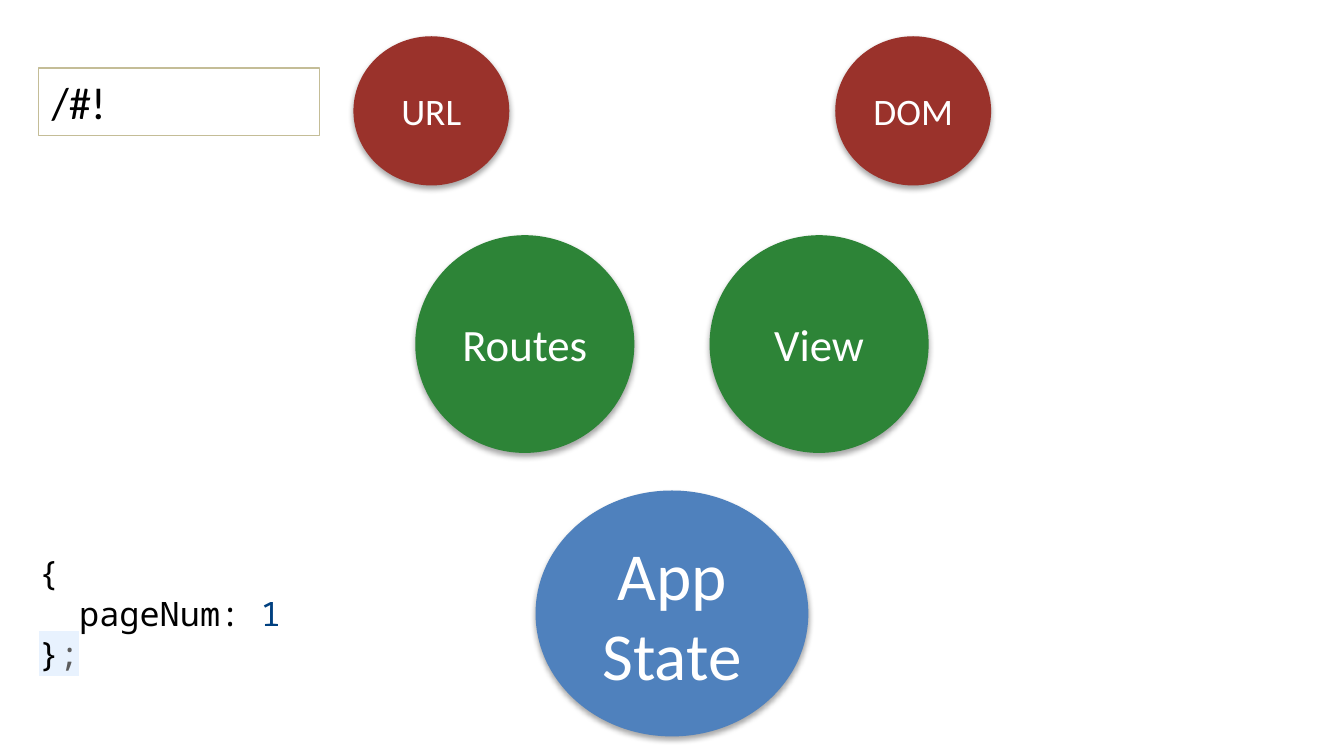
from dataclasses import dataclass

import pptx
import pptx.dml.color
import pptx.enum.shapes
import pptx.enum.text
import pptx.oxml
import pptx.oxml.ns
import pptx.util
from lxml import etree

PX = 4572  # EMU per px, 200 px to the inch
NS = pptx.oxml.ns.nsdecls("a")


@dataclass(frozen=True)
class Circle:
    label: str
    left: int
    top: int
    width: int
    height: int
    size: int
    fill: str


@dataclass(frozen=True)
class Piece:
    text: str
    color: str
    highlight: str


CIRCLES = [
    Circle("App State", 797, 730, 406, 366, 36, "4F81BD"),
    Circle("Routes", 618, 350, 326, 324, 24, "2D8437"),
    Circle("View", 1056, 350, 326, 324, 24, "2D8437"),
    Circle("DOM", 1243, 54, 232, 222, 20, "9A322B"),
    Circle("URL", 526, 54, 232, 222, 20, "9A322B"),
]

# Each code line: left indent in px, then its pieces
CODE = [
    (0, [Piece("{", "000000", "FFFFFF")]),
    (60, [Piece("pageNum: ", "000000", "FFFFFF"), Piece("1", "004080", "FFFFFF")]),
    (0, [Piece("}", "000000", "E8F2FE"), Piece(";", "5C5C5C", "E8F2FE")]),
]


def rgb(color: str) -> pptx.dml.color.RGBColor:
    return pptx.dml.color.RGBColor.from_string(color)


def box(left: int, top: int, width: int, height: int) -> list[int]:
    """Turn px into EMU."""
    return [v * PX for v in (left, top, width, height)]


def add_run(p, text: str, size: int, color: str, font: str = "Calibri"):
    r = p.add_run()
    r.text = text
    r.font.size = pptx.util.Pt(size)
    r.font.name = font
    r.font.color.rgb = rgb(color)
    return r


def add_shadow(sp) -> None:
    sp.shadow.inherit = False
    effects = sp.element.spPr.find(pptx.oxml.ns.qn("a:effectLst"))
    effects.append(etree.fromstring(
        f'<a:outerShdw {NS} blurRad="39400" dist="22900" dir="5400000" rotWithShape="0">'
        '<a:srgbClr val="000000"><a:alpha val="35000"/></a:srgbClr></a:outerShdw>'))


def highlight(r, color: str) -> None:
    fill = r._r.rPr.find(pptx.oxml.ns.qn("a:solidFill"))
    fill.addnext(pptx.oxml.parse_xml(
        f'<a:highlight {NS}><a:srgbClr val="{color}"/></a:highlight>'))


def add_circle(s, c: Circle) -> None:
    sp = s.shapes.add_shape(pptx.enum.shapes.MSO_SHAPE.OVAL,
                            *box(c.left, c.top, c.width, c.height))
    sp.fill.solid()
    sp.fill.fore_color.rgb = rgb(c.fill)
    sp.line.fill.background()
    add_shadow(sp)
    tf = sp.text_frame
    tf.vertical_anchor = pptx.enum.text.MSO_ANCHOR.MIDDLE
    p = tf.paragraphs[0]
    p.alignment = pptx.enum.text.PP_ALIGN.CENTER
    add_run(p, c.label, c.size, "FFFFFF")


def add_address_bar(s) -> None:
    sp = s.shapes.add_shape(pptx.enum.shapes.MSO_SHAPE.RECTANGLE, *box(57, 101, 419, 101))
    sp.fill.background()
    sp.line.color.rgb = rgb("C4BD97")
    sp.line.width = pptx.util.Pt(0.75)
    sp.shadow.inherit = False
    tf = sp.text_frame
    tf.vertical_anchor = pptx.enum.text.MSO_ANCHOR.TOP
    p = tf.paragraphs[0]
    p.alignment = pptx.enum.text.PP_ALIGN.LEFT
    add_run(p, "/#!", 24, "000000")


def add_code(s) -> None:
    tf = s.shapes.add_textbox(*box(38, 812, 502, 202)).text_frame
    tf.word_wrap = True
    for i, (indent, pieces) in enumerate(CODE):
        p = tf.add_paragraph() if i else tf.paragraphs[0]
        p._p.get_or_add_pPr().set("marL", str(indent * PX))
        for piece in pieces:
            r = add_run(p, piece.text, 18, piece.color, "Noto Sans Mono")
            highlight(r, piece.highlight)


def main() -> None:
    prs = pptx.Presentation()
    prs.slide_width, prs.slide_height = 2000 * PX, 1125 * PX
    s = prs.slides.add_slide(prs.slide_layouts[6])
    for c in CIRCLES:
        add_circle(s, c)
    add_address_bar(s)
    add_code(s)
    prs.save("out.pptx")


if __name__ == "__main__":
    main()
